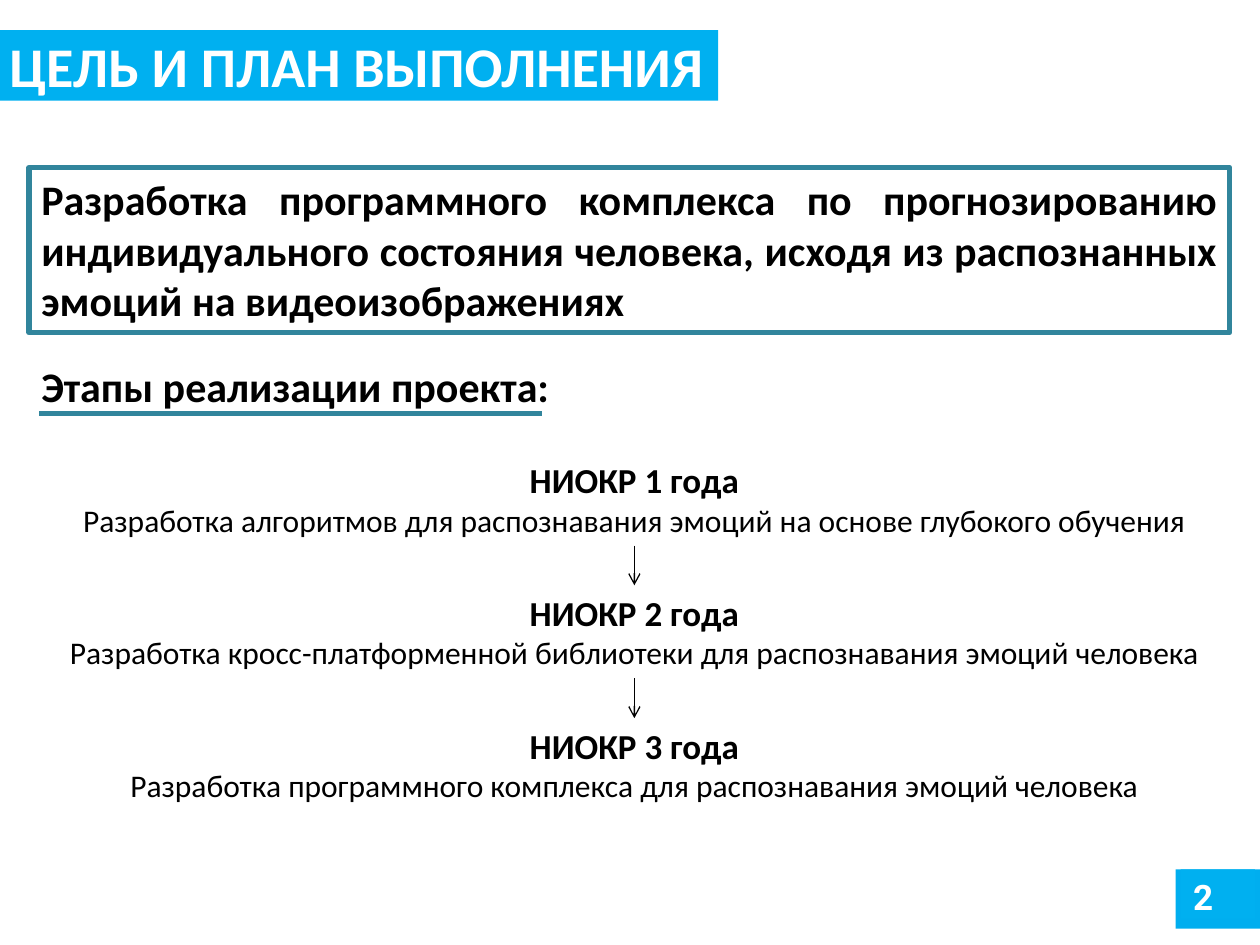
import pptx
import pptx.util
import pptx.dml.color
import pptx.enum.shapes
import pptx.enum.text
import pptx.oxml

Inches, Pt = pptx.util.Inches, pptx.util.Pt
Align = pptx.enum.text.PP_ALIGN
Anchor = pptx.enum.text.MSO_ANCHOR

# Content
TITLE = "ЦЕЛЬ И ПЛАН ВЫПОЛНЕНИЯ"
GOAL = ("Разработка программного комплекса по прогнозированию "
        "индивидуального состояния человека, исходя из распознанных "
        "эмоций на видеоизображениях")
HEADING = "Этапы реализации проекта:"
STAGES = [
    ("НИОКР 1 года", "Разработка алгоритмов для распознавания эмоций на основе глубокого обучения"),
    ("НИОКР 2 года", "Разработка кросс-платформенной библиотеки для распознавания эмоций человека"),
    ("НИОКР 3 года", "Разработка программного комплекса для распознавания эмоций человека"),
]
NUMBER = "2"

THEME = {
    "font": "Calibri", "number font": "Roboto",
    "blue": "00B0F0", "corner": "00AEEF", "teal": "31859C",
    "white": "FFFFFF", "black": "000000",
    "title": 32, "lead": 24, "stage": 20, "body": 18, "number": 20,
}

# Stage grid
LEFT, TOP, WIDTH, HEIGHT, STEP = 0.31, 3.59, 9.45, 0.74, 1.055


def color(name):
    return pptx.dml.color.RGBColor.from_string(THEME[name])


def add_rect(slide, box, fill, line=None):
    rect = slide.shapes.add_shape(pptx.enum.shapes.MSO_SHAPE.RECTANGLE, *map(Inches, box))
    rect.shadow.inherit = False
    rect.fill.solid()
    rect.fill.fore_color.rgb = color(fill)
    if line:
        rect.line.color.rgb = color(line)
        rect.line.width = Pt(3)
    else:
        rect.line.fill.background()
    return rect


def add_text(slide, box):
    return slide.shapes.add_textbox(*map(Inches, box))


def write(shape, rows, align, anchor=Anchor.TOP, ink="black", font="font"):
    """Each row is (text, size name, bold)."""
    frame = shape.text_frame
    frame.word_wrap = True
    frame.vertical_anchor = anchor
    for i, (text, size, bold) in enumerate(rows):
        para = frame.add_paragraph() if i else frame.paragraphs[0]
        para.text = text
        para.alignment = align
        para.font.name = THEME[font]
        para.font.size = Pt(THEME[size])
        para.font.bold = bold
        para.font.color.rgb = color(ink)


def add_line(slide, start, end, ink, width, arrow=False):
    line = slide.shapes.add_connector(
        pptx.enum.shapes.MSO_CONNECTOR.STRAIGHT, *map(Inches, start + end))
    line.line.color.rgb = color(ink)
    line.line.width = Pt(width)
    if arrow:
        tail = pptx.oxml.parse_xml(
            '<a:tailEnd xmlns:a="http://schemas.openxmlformats.org/drawingml/2006/main" type="arrow"/>')
        line.line._get_or_add_ln().append(tail)
    line._element.spPr.append(pptx.oxml.parse_xml(
        '<a:effectLst xmlns:a="http://schemas.openxmlformats.org/drawingml/2006/main"/>'))


def main():
    deck = pptx.Presentation()
    deck.slide_width, deck.slide_height = Inches(10), Inches(7.5)
    slide = deck.slides.add_slide(deck.slide_layouts[6])

    # Page number
    add_rect(slide, (9.33, 6.9, 0.67, 0.47), "corner")
    number = add_rect(slide, (9.37, 6.9, 0.59, 0.39), "blue")
    write(number, [(NUMBER, "number", True)], Align.LEFT, ink="white", font="number font")

    # Title band
    band = add_rect(slide, (-0.04, 0.24, 5.74, 0.56), "blue")
    write(band, [(TITLE, "title", True)], Align.CENTER, Anchor.MIDDLE, "white")

    # Goal and heading
    head = add_text(slide, (0.23, 2.81, 9.5, 0.5))
    write(head, [(HEADING, "lead", True)], Align.JUSTIFY, Anchor.MIDDLE)
    goal = add_rect(slide, (0.23, 1.33, 9.53, 1.31), "white", "teal")
    write(goal, [(GOAL, "lead", True)], Align.JUSTIFY)
    add_line(slide, (LEFT, 3.28), (4.3, 3.28), "teal", 3)

    # Stages, with an arrow down to each next one
    mid = LEFT + WIDTH / 2
    for i, (name, task) in enumerate(STAGES):
        top = TOP + i * STEP
        stage = add_text(slide, (LEFT, top, WIDTH, HEIGHT))
        write(stage, [(name, "stage", True), (task, "body", False)], Align.CENTER)
        if i:
            add_line(slide, (mid, top - STEP + HEIGHT), (mid, top), "black", 0.75, True)

    deck.save("out.pptx")


if __name__ == "__main__":
    main()
